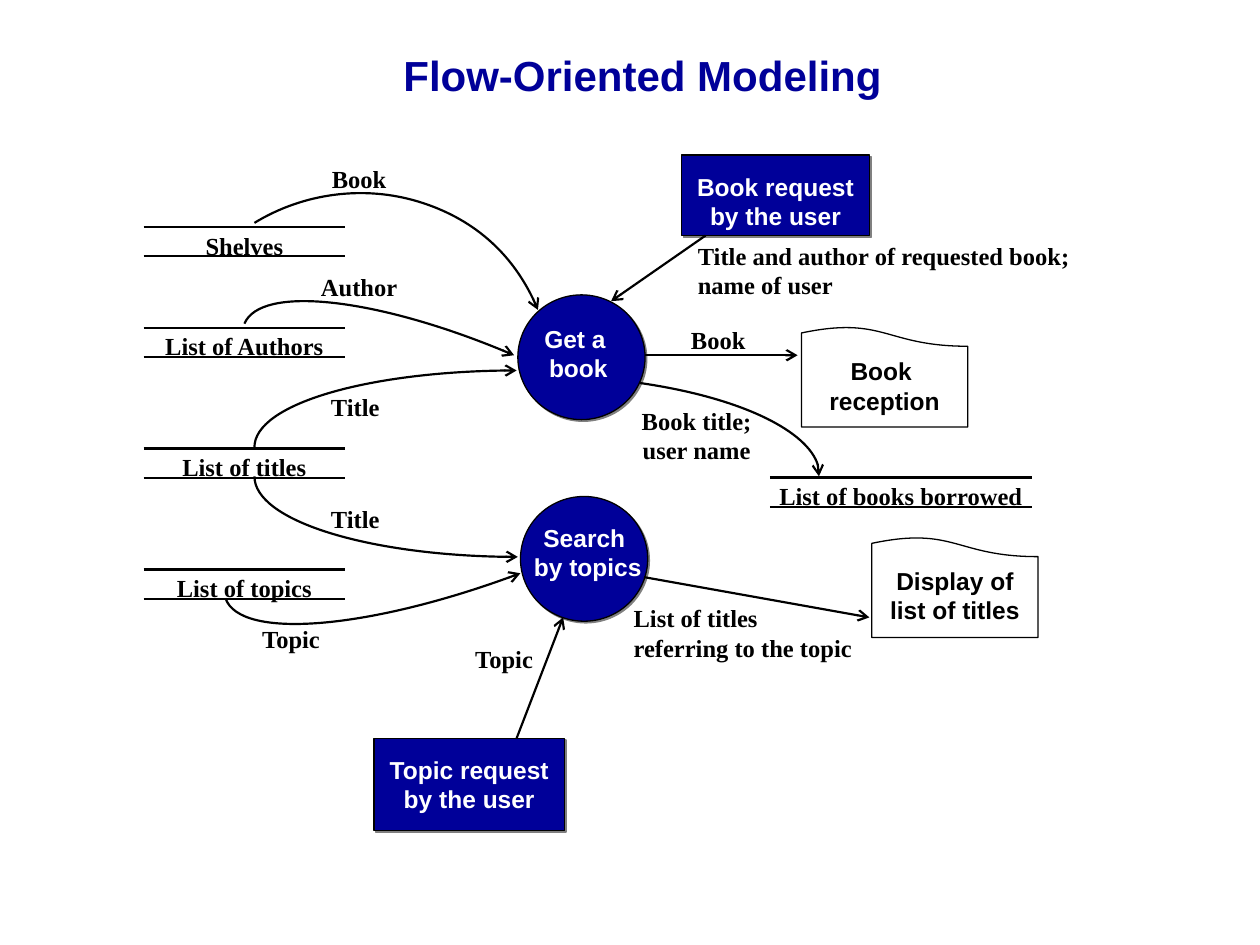
from lxml.etree import SubElement
from pptx import Presentation
from pptx.dml.color import RGBColor
from pptx.enum.shapes import MSO_CONNECTOR, MSO_SHAPE
from pptx.enum.text import MSO_ANCHOR, PP_ALIGN
from pptx.oxml.ns import qn
from pptx.util import Pt

COLORS = {"navy": "000099", "ink": "000000", "paper": "FFFFFF", "shadow": "808080"}
SANS, SERIF = "Arial", "Times New Roman"
CENTER, JUSTIFY = PP_ALIGN.CENTER, PP_ALIGN.JUSTIFY

TITLE = "Flow-Oriented Modeling"
STORES = [
    ("Shelves", 82.1, 129.6, 115.2),
    ("List of Authors", 82.1, 187.2, 115.2),
    ("List of titles", 82.1, 256.3, 115.2),
    ("List of topics", 82.1, 325.4, 115.2),
    ("List of books borrowed", 439.9, 272.9, 149.8),
]
PROCESSES = [
    ("Get a \nbook", (295.9, 168.5), (293.8, 175.7, 73.4, 60.5), 9.4),
    ("Search \nby topics", (297.4, 283.7), (295.2, 286.6, 81.4, 60.5), 12.2),
]
REQUESTS = [
    ("Book request by the user", (389.5, 88.6, 107.3, 46)),
    ("Topic request by the user", (213.8, 421.9, 108.7, 52.6)),
]
DOCUMENTS = [
    ("Book \nreception", 458, 186.5, 17.2),
    ("Display of list of titles", 498.2, 306.7, 16.6),
]
FLOW_LABELS = [
    ("Title and author of requested book; \nname of user", (391.7, 131, 244, 46), 6.5, JUSTIFY),
    ("Book title;\nuser name", (350.6, 228.2, 95, 46), 3.6, CENTER),
    ("List of titles\nreferring to the topic", (355, 341.3, 163.4, 46), 3.6, JUSTIFY),
    ("Book", (171.4, 84.2, 67.7, 34.6), 9.4, CENTER),
    ("Author", (171.4, 146.2, 67.7, 34.6), 9.4, CENTER),
    ("Title", (169.2, 220.3, 67.7, 34.6), 3.6, CENTER),
    ("Title", (169.2, 278.6, 67.7, 34.6), 9.4, CENTER),
    ("Topic", (132.5, 352.8, 67.7, 34.6), 3.6, CENTER),
    ("Topic", (254.2, 364.3, 67.7, 34.6), 3.6, CENTER),
    ("Book", (376.6, 176.4, 67.7, 34.6), 9.4, CENTER),
]
STRAIGHT_FLOWS = [
    (403.2, 134.6, 349.2, 172.1),
    (368.6, 203, 455.8, 203),
    (368, 329.8, 496.8, 352.8),
    (295.2, 421.9, 321.8, 352.8),
]
CURVED_FLOWS = [
    [(145.4, 127.4), (173.5, 110.2), (208.1, 105.8), (239, 115.2),
     (270, 124.6), (295.2, 146.9), (307.4, 177.1)],
    [(139.7, 185), (149, 162.7), (218.2, 170.6), (293.8, 203)],
    [(145.4, 255.6), (145.4, 231.1), (212.4, 211.7), (295.2, 211.7)],
    [(145.4, 272.2), (145.4, 297.4), (213.1, 318.2), (295.9, 318.2)],
    [(128.9, 342), (137.5, 365.8), (213.1, 359.3), (297.4, 327.6)],
    [(365.8, 218.9), (424.8, 227.5), (470.9, 251.3), (468, 272.2)],
]
PROCESS_SIZE = (72.7, 71.3)
DOCUMENT_SIZE = (95, 57.6)
STORE_GAP, STORE_OVERHANG = 16.9, 8


def color(name):
    return RGBColor.from_string(COLORS[name])


def points(*lengths):
    return [Pt(length) for length in lengths]


def write(frame, text, font, ink="ink", top=9.4, align=CENTER, size=14):
    frame.word_wrap = True
    frame.vertical_anchor = MSO_ANCHOR.TOP
    frame.margin_left, frame.margin_right, frame.margin_top, frame.margin_bottom = points(7.2, 7.2, top, 0)
    frame.text = text
    for paragraph in frame.paragraphs:
        paragraph.alignment = align
        for run in paragraph.runs:
            run.font.name, run.font.size, run.font.bold = font, Pt(size), True
            run.font.color.rgb = color(ink)


def add_label(shapes, text, box, *style):
    write(shapes.add_textbox(*points(*box)).text_frame, text, *style)


def outline(line, width, arrow=False):
    line.color.rgb = color("ink")
    line.width = Pt(width)
    if arrow:
        SubElement(line._get_or_add_ln(), qn("a:tailEnd"), type="arrow")


def add_straight(shapes, ends, arrow=False):
    connector = shapes.add_connector(MSO_CONNECTOR.STRAIGHT, *points(*ends))
    outline(connector.line, 1.25, arrow)
    SubElement(connector._element.spPr, qn("a:effectLst"))


def add_curve(shapes, stops):
    start, *controls = [points(*stop) for stop in stops]
    builder = shapes.build_freeform(*start)
    builder.add_line_segments(controls, close=False)
    curve = builder.convert_to_shape()
    outline_path = curve._element.spPr.find(".//" + qn("a:path"))
    segments = outline_path.findall(qn("a:lnTo"))
    for first in range(0, len(segments), 3):
        bezier = SubElement(outline_path, qn("a:cubicBezTo"))
        for segment in segments[first:first + 3]:
            bezier.append(segment[0])
            outline_path.remove(segment)
    curve.fill.background()
    curve.shadow.inherit = False
    outline(curve.line, 1.25, True)


def add_solid(shapes, kind, box):
    solid = shapes.add_shape(kind, *points(*box))
    solid.fill.solid()
    solid.fill.fore_color.rgb = color("navy")
    outline(solid.line, 0.75)
    solid.shadow.inherit = False
    effects = solid._element.spPr.find(qn("a:effectLst"))
    shadow = SubElement(effects, qn("a:outerShdw"), dist=str(Pt(1.4)), dir="2700000",
                        algn="ctr", rotWithShape="0")
    SubElement(shadow, qn("a:srgbClr"), val=COLORS["shadow"])
    return solid


def main():
    deck = Presentation()
    deck.slide_width, deck.slide_height = points(720, 540)
    slide = deck.slides.add_slide(deck.slide_layouts[5])
    shapes = slide.shapes

    heading = shapes.title
    heading.left, heading.top, heading.width, heading.height = points(133.2, 15.1, 468, 54.7)
    write(heading.text_frame, TITLE, SANS, "navy", 3.6, CENTER, 24)
    heading.text_frame.vertical_anchor = MSO_ANCHOR.MIDDLE
    heading.text_frame.margin_bottom = Pt(3.6)

    for text, left, top, width in STORES:
        add_label(shapes, text, (left - STORE_OVERHANG, top - 7.2, width + 2 * STORE_OVERHANG, 34.6), SERIF)
        for level in (top, top + STORE_GAP):
            add_straight(shapes, (left, level, left + width, level))

    for text, corner, text_box, inset in PROCESSES:
        add_solid(shapes, MSO_SHAPE.OVAL, corner + PROCESS_SIZE)
        add_label(shapes, text, text_box, SANS, "paper", inset)

    for text, box in REQUESTS:
        request = add_solid(shapes, MSO_SHAPE.RECTANGLE, box)
        write(request.text_frame, text, SANS, "paper")

    for text, left, top, inset in DOCUMENTS:
        box = (left, top, *DOCUMENT_SIZE)
        document = shapes.add_shape(MSO_SHAPE.FLOWCHART_DOCUMENT, *points(*box))
        document._element.spPr.find(qn("a:xfrm")).set("flipV", "1")
        document.fill.background()
        document.shadow.inherit = False
        outline(document.line, 0.75)
        add_label(shapes, text, box, SANS, "ink", inset)

    for text, box, inset, align in FLOW_LABELS:
        add_label(shapes, text, box, SERIF, "ink", inset, align)
    for ends in STRAIGHT_FLOWS:
        add_straight(shapes, ends, True)
    for stops in CURVED_FLOWS:
        add_curve(shapes, stops)

    deck.save("out.pptx")


if __name__ == "__main__":
    main()
